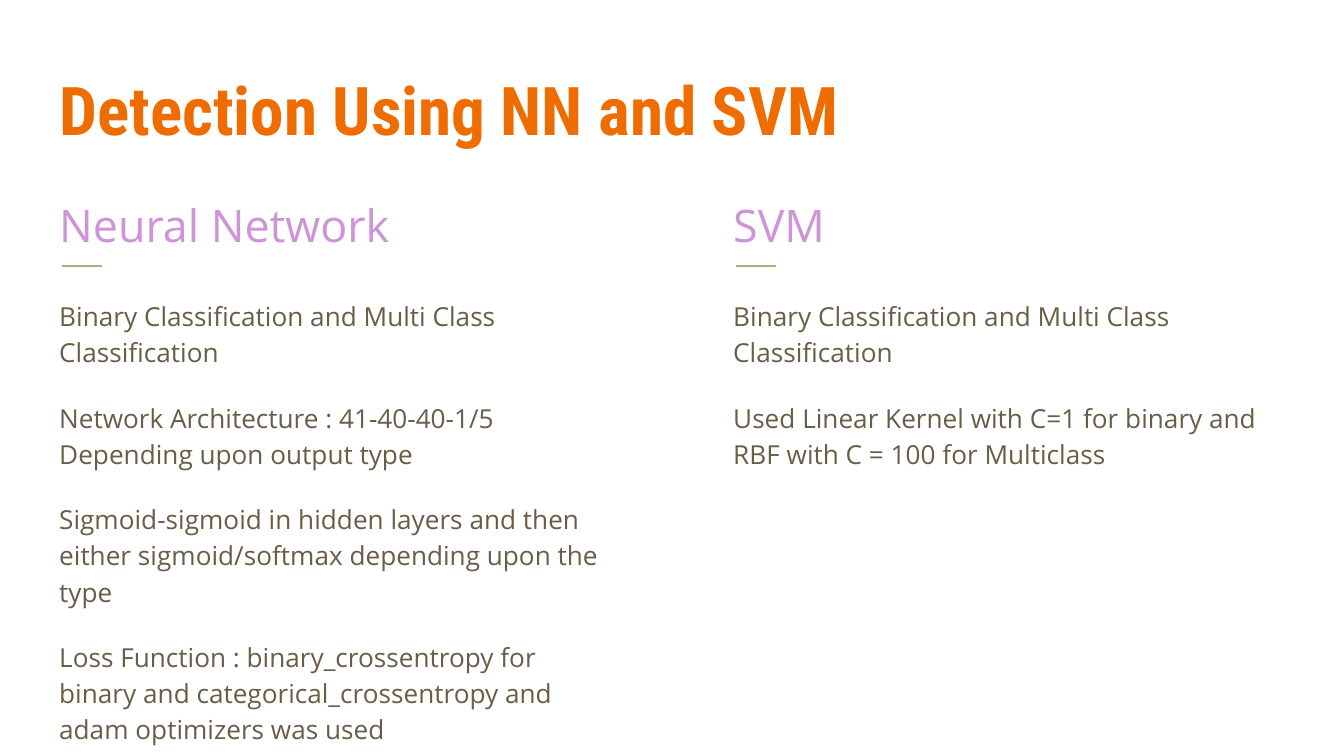
"""Build a slide that sets two detection methods side by side."""
from lxml import etree
from pptx import Presentation
from pptx.dml.color import RGBColor
from pptx.enum.shapes import MSO_CONNECTOR
from pptx.enum.text import MSO_ANCHOR, PP_ALIGN
from pptx.oxml.ns import qn
from pptx.util import Pt

LEFT, TOP, MIDDLE = PP_ALIGN.LEFT, MSO_ANCHOR.TOP, MSO_ANCHOR.MIDDLE
STRAIGHT = MSO_CONNECTOR.STRAIGHT

TITLE = "Detection Using NN and SVM"
COLUMNS = [
    ("Neural Network", [
        "Binary Classification and Multi Class Classification",
        "Network Architecture : 41-40-40-1/5 Depending upon output type",
        "Sigmoid-sigmoid in hidden layers and then either sigmoid/softmax "
        "depending upon the type",
        "Loss Function : binary_crossentropy for binary and "
        "categorical_crossentropy and adam optimizers was used",
    ]),
    ("SVM", [
        "Binary Classification and Multi Class Classification",
        "Used Linear Kernel with C=1 for binary and RBF with C = 100 "
        "for Multiclass",
    ]),
]

THEME = {
    "title": ("Roboto Condensed", 36, "EF6C00", True),
    "head": ("Open Sans", 24, "CE93D8", False),
    "body": ("Open Sans", 14, "695D46", False),
    "rule": ("B3A77D", 0.75),
    "paper": "FFFFFF",
    "leading": 1.15,
    "gap": 16,
}

SCALE = 914400 / 134.4
WIDE, HIGH = 1344, 756
EDGE, STEP, COL_W = 46, 674, 566
TITLE_BOX = (EDGE, 55, 1252, 108)
HEAD_Y, HEAD_H = 176, 77
RULE_X, RULE_Y, RULE_W = 16, 266, 40
BODY_Y, BODY_H = 282, 405
INSET = 13.44


def px(n):
    return round(n * SCALE)


def place(shape, box):
    shape.left, shape.top, shape.width, shape.height = map(px, box)


def fill(shape, lines, style, anchor=TOP, leading=1, gap=0):
    face, size, color, bold = THEME[style]
    frame = shape.text_frame
    frame.word_wrap = True
    frame.vertical_anchor = anchor
    frame.margin_left = frame.margin_right = px(INSET)
    frame.margin_top = frame.margin_bottom = px(INSET)
    for i, line in enumerate(lines):
        par = frame.add_paragraph() if i else frame.paragraphs[0]
        par.alignment = LEFT
        par.line_spacing = leading
        par.space_before = Pt(gap if i else 0)
        par.space_after = Pt(gap if i == len(lines) - 1 else 0)
        run = par.add_run()
        run.text = line
        font = run.font
        font.name, font.size, font.bold = face, Pt(size), bold
        font.color.rgb = RGBColor.from_string(color)


def add_text(slide, box, lines, style):
    shape = slide.shapes.add_textbox(*map(px, box))
    fill(shape, lines, style, leading=THEME["leading"], gap=THEME["gap"])


def add_rule(slide, x):
    color, width = THEME["rule"]
    rule = slide.shapes.add_connector(
        STRAIGHT, *map(px, (x, RULE_Y, x + RULE_W, RULE_Y)))
    rule.line.color.rgb = RGBColor.from_string(color)
    rule.line.width = Pt(width)
    etree.SubElement(rule._element.spPr, qn("a:effectLst"))


def main():
    deck = Presentation()
    deck.slide_width, deck.slide_height = px(WIDE), px(HIGH)
    slide = deck.slides.add_slide(deck.slide_layouts[5])
    paper = slide.background.fill
    paper.solid()
    paper.fore_color.rgb = RGBColor.from_string(THEME["paper"])

    title = slide.shapes.title
    place(title, TITLE_BOX)
    fill(title, [TITLE], "title", MIDDLE)

    for i, (head, body) in enumerate(COLUMNS):
        x = EDGE + i * STEP
        add_text(slide, (x, HEAD_Y, COL_W, HEAD_H), [head], "head")
        add_rule(slide, x + RULE_X)
        add_text(slide, (x, BODY_Y, COL_W, BODY_H), body, "body")

    deck.save("out.pptx")


if __name__ == "__main__":
    main()
